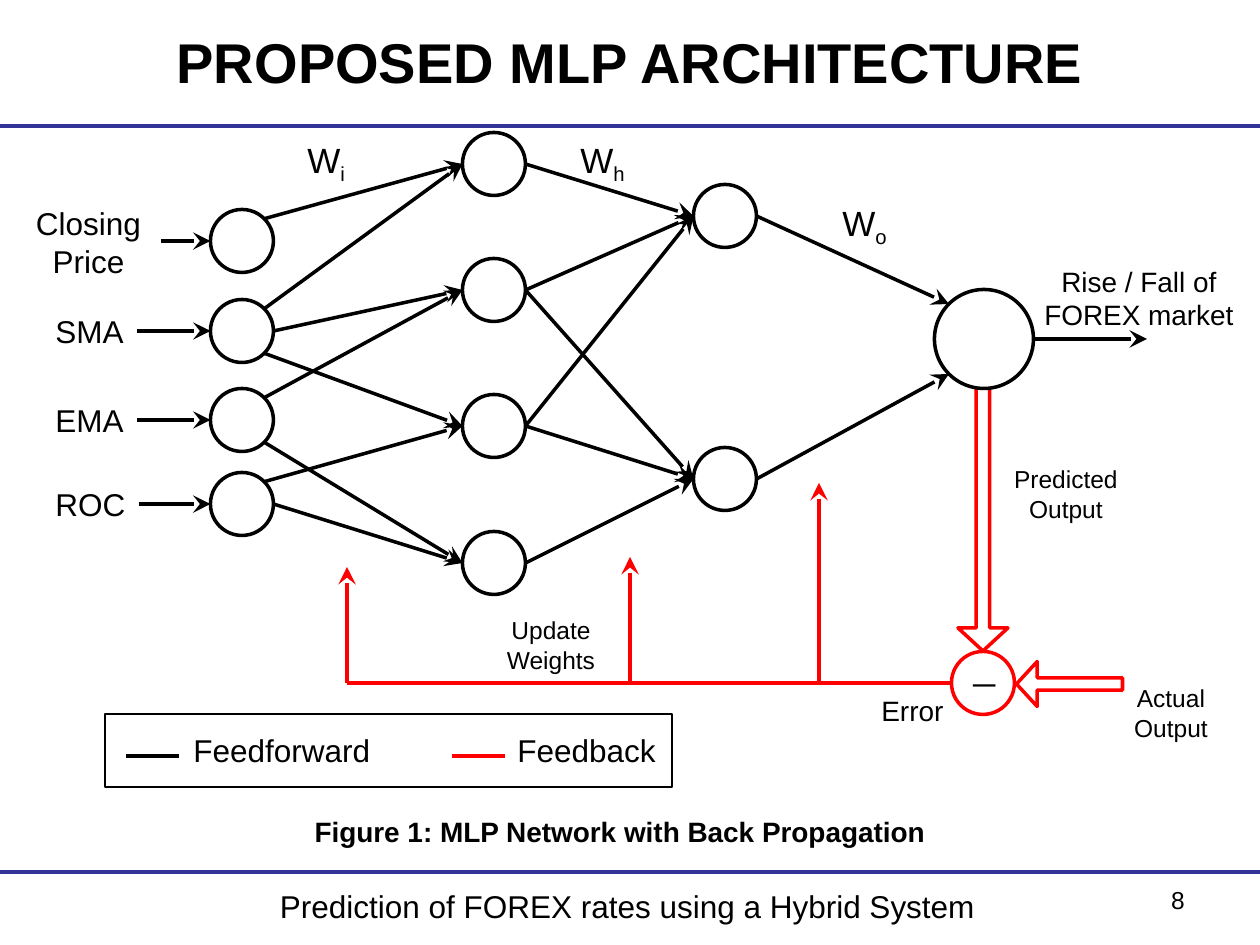
from lxml import etree
from pptx import Presentation
from pptx.dml.color import RGBColor
from pptx.enum.shapes import MSO_CONNECTOR, MSO_SHAPE
from pptx.enum.text import MSO_ANCHOR, PP_ALIGN
from pptx.oxml.ns import qn
from pptx.util import Emu, Pt

EMU_PER_PX = 914400 / 126
COLORS = {"black": "000000", "white": "FFFFFF", "red": "FF0000", "rule": "333399"}
ALIGN = {"left": PP_ALIGN.LEFT, "center": PP_ALIGN.CENTER, "right": PP_ALIGN.RIGHT}
NODE = 63
DIAGONAL = 0.7071

# Layers: center x, then the center y of each neuron
INPUT_X, INPUT_YS = 242, [241, 331, 420, 504]
HIDDEN_1_X, HIDDEN_1_YS = 494, [164, 290, 426, 563]
HIDDEN_2_X, HIDDEN_2_YS = 725, [216, 479]
OUTPUT_CENTER, OUTPUT_SIZE = (984, 339), 99
ERROR_CENTER = (983, 683)

# Input neuron, side it leaves from (-1 upper right, 0 right, 1 lower right), hidden neuron
INPUT_EDGES = [(0, -1, 0), (1, -1, 0), (1, 0, 1), (1, 1, 2),
               (2, -1, 1), (2, 1, 3), (3, -1, 2), (3, 0, 3)]
HIDDEN_EDGES = [(0, 0), (1, 0), (1, 1), (2, 0), (2, 1), (3, 1)]

INPUT_ARROW_STARTS = [161, 137, 137, 139]
FEEDBACK_Y = 683
FEEDBACK_ARROWS = [(347, 567), (630, 557), (819, 483)]  # x, tip y

# Text, box, size, alignment, bold
TEXTS = [
    ("PROPOSED MLP ARCHITECTURE", (63, 17, 1134, 88), 32, "center", True),
    ("Prediction of FOREX rates using a Hybrid System", (164, 881, 927, 57), 18, "center", False),
    ("8", (903, 879, 294, 66), 14, "right", False),
    ("Closing\nPrice", (19, 198, 139, 88), 18, "center", False),
    ("SMA", (43, 306, 120, 50), 18, "left", False),
    ("EMA", (43, 395, 120, 50), 18, "left", False),
    ("ROC", (43, 479, 120, 50), 18, "left", False),
    ("Rise / Fall of FOREX market", (1018, 258, 242, 81), 16, "center", False),
    ("Predicted Output", (998, 458, 136, 72), 14, "center", False),
    ("Actual Output", (1103, 677, 136, 72), 14, "center", False),
    ("Update Weights", (483, 609, 136, 72), 14, "center", False),
    ("Error", (869, 687, 110, 47), 16, "left", False),
    ("Figure 1: MLP Network with Back Propagation", (295, 808, 650, 47), 16, "center", True),
    ("Feedforward", (181, 725, 220, 50), 18, "left", False),
    ("Feedback", (505, 725, 180, 50), 18, "left", False),
]
WEIGHTS = [("i", (295, 132, 90, 60)), ("h", (568, 132, 90, 60)), ("o", (830, 195, 90, 60))]
LEGEND_BOX = (105, 714, 567, 73)
LEGEND_LINES = [(126, "black"), (452, "red")]


def px(value):
    return Emu(round(value * EMU_PER_PX))


def color(name):
    return RGBColor.from_string(COLORS[name])


def style_run(run, size, bold=False):
    run.font.name = "Arial"
    run.font.size = Pt(size)
    run.font.bold = bold
    run.font.color.rgb = color("black")


def add_text(slide, text, box, size, align, bold=False):
    text_box = slide.shapes.add_textbox(*map(px, box))
    frame = text_box.text_frame
    frame.word_wrap = True
    frame.text = text
    for paragraph in frame.paragraphs:
        paragraph.alignment = ALIGN[align]
        for run in paragraph.runs:
            style_run(run, size, bold)
    return text_box


def add_line(slide, start, end, line_color="black", arrow=False, width=2):
    connector = slide.shapes.add_connector(
        MSO_CONNECTOR.STRAIGHT, *map(px, (*start, *end)))
    connector.line.color.rgb = color(line_color)
    connector.line.width = Pt(width)
    properties = connector._element.spPr
    if arrow:
        line = properties.find(qn("a:ln"))
        etree.SubElement(line, qn("a:tailEnd"), type="stealth", w="lg", len="lg")
    etree.SubElement(properties, qn("a:effectLst"))


def add_outlined(slide, kind, box, line_color="black", fill=None, width=2):
    shape = slide.shapes.add_shape(kind, *map(px, box))
    shape.shadow.inherit = False
    if fill:
        shape.fill.solid()
        shape.fill.fore_color.rgb = color(fill)
    else:
        shape.fill.background()
    shape.line.color.rgb = color(line_color)
    shape.line.width = Pt(width)
    return shape


def add_neuron(slide, center, size=NODE, line_color="black"):
    x, y = center
    box = (x - size / 2, y - size / 2, size, size)
    return add_outlined(slide, MSO_SHAPE.OVAL, box, line_color, "white")


def add_block_arrow(slide, box, rotation=0):
    arrow = add_outlined(slide, MSO_SHAPE.DOWN_ARROW, box, "red")
    arrow.adjustments[0], arrow.adjustments[1] = 0.27, 0.46
    arrow.rotation = rotation


def add_network(slide):
    radius = NODE / 2
    layers = [(INPUT_X, INPUT_YS), (HIDDEN_1_X, HIDDEN_1_YS), (HIDDEN_2_X, HIDDEN_2_YS)]
    for x, ys in layers:
        for y in ys:
            add_neuron(slide, (x, y))
    add_neuron(slide, OUTPUT_CENTER, OUTPUT_SIZE)

    for start_x, y in zip(INPUT_ARROW_STARTS, INPUT_YS):
        add_line(slide, (start_x, y), (INPUT_X - radius, y), arrow=True)
    for source, side, target in INPUT_EDGES:
        reach = radius * DIAGONAL if side else radius
        start = (INPUT_X + reach, INPUT_YS[source] + side * reach)
        add_line(slide, start, (HIDDEN_1_X - radius, HIDDEN_1_YS[target]), arrow=True)
    for source, target in HIDDEN_EDGES:
        add_line(slide, (HIDDEN_1_X + radius, HIDDEN_1_YS[source]),
                 (HIDDEN_2_X - radius, HIDDEN_2_YS[target]), arrow=True)

    x, y = OUTPUT_CENTER
    reach = OUTPUT_SIZE / 2 * DIAGONAL
    for side, source_y in zip((-1, 1), HIDDEN_2_YS):
        add_line(slide, (HIDDEN_2_X + radius, source_y),
                 (x - reach, y + side * reach), arrow=True)
    add_line(slide, (x + OUTPUT_SIZE / 2, y), (1147, y), arrow=True)


def add_feedback(slide):
    add_block_arrow(slide, (958, 374, 50, 277))
    add_block_arrow(slide, (1047, 631, 45, 106), 90)
    error = add_neuron(slide, ERROR_CENTER, line_color="red")
    frame = error.text_frame
    frame.vertical_anchor = MSO_ANCHOR.MIDDLE
    frame.text = "─"
    frame.paragraphs[0].alignment = PP_ALIGN.CENTER
    style_run(frame.paragraphs[0].runs[0], 18)

    add_line(slide, (ERROR_CENTER[0] - NODE / 2, FEEDBACK_Y),
             (FEEDBACK_ARROWS[0][0], FEEDBACK_Y), "red")
    for x, tip_y in FEEDBACK_ARROWS:
        add_line(slide, (x, FEEDBACK_Y), (x, tip_y), "red", arrow=True)


def main():
    presentation = Presentation()
    presentation.slide_width, presentation.slide_height = px(1260), px(945)
    slide = presentation.slides.add_slide(presentation.slide_layouts[6])

    for y in (126, 872):
        add_line(slide, (0, y), (1260, y), "rule", width=2.25)
    add_feedback(slide)
    add_network(slide)
    add_outlined(slide, MSO_SHAPE.RECTANGLE, LEGEND_BOX, width=0.75)
    for x, line_color in LEGEND_LINES:
        add_line(slide, (x, 756), (x + 53, 756), line_color)

    title, *_ = [add_text(slide, *text) for text in TEXTS]
    title.text_frame.vertical_anchor = MSO_ANCHOR.MIDDLE
    for subscript, box in WEIGHTS:
        label = add_text(slide, "W", box, 20, "left")
        run = label.text_frame.paragraphs[0].add_run()
        run.text = subscript
        style_run(run, 20)
        run._r.get_or_add_rPr().set("baseline", "-25000")

    presentation.save("out.pptx")


if __name__ == "__main__":
    main()
